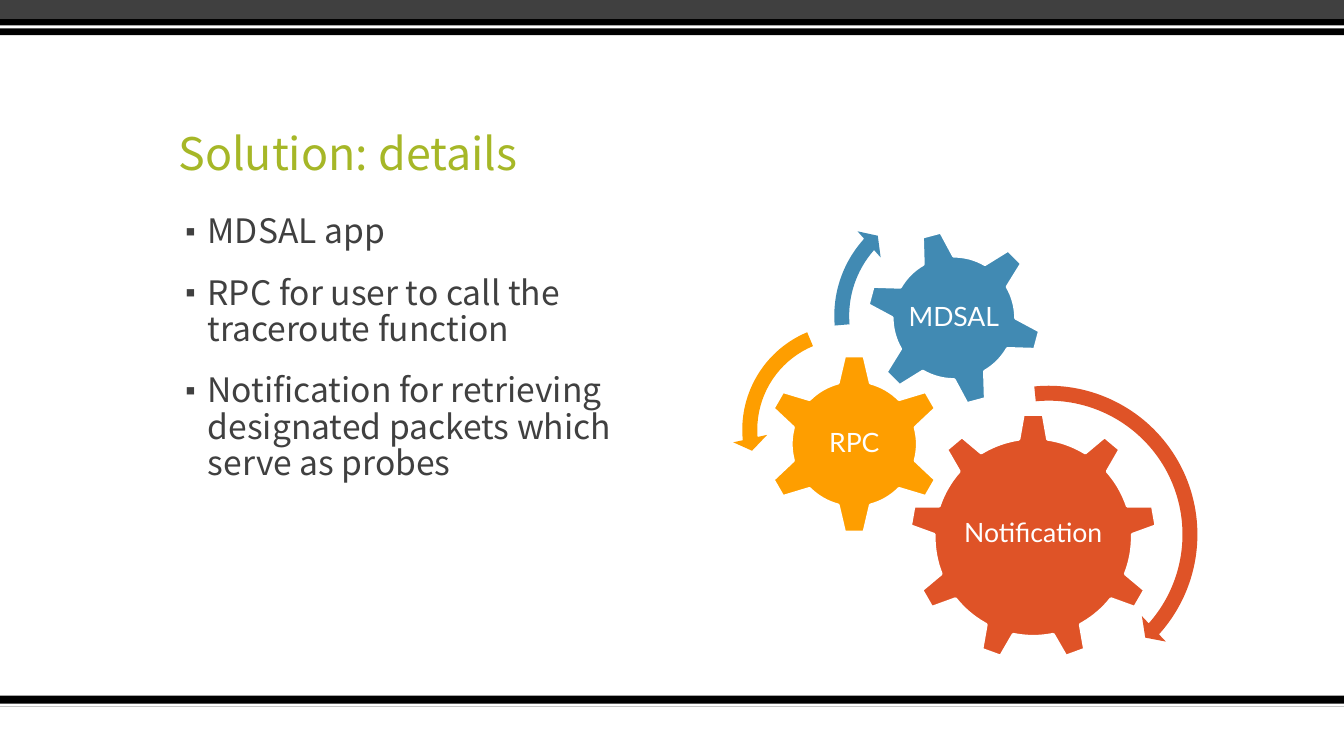
import pptx
import pptx.util
import pptx.dml.color
import pptx.enum.shapes
import pptx.enum.text
import pptx.oxml

Cm, Pt = pptx.util.Cm, pptx.util.Pt
SHAPE = pptx.enum.shapes.MSO_SHAPE
ALIGN = pptx.enum.text.PP_ALIGN
ANCHOR = pptx.enum.text.MSO_ANCHOR

# Content
COLORS = {"white": "FFFFFF", "black": "000000", "gray": "404040", "green": "A6B727",
          "red": "DF5327", "orange": "FE9E00", "blue": "418AB3"}
TITLE = "Solution: details"
BULLETS = ["MDSAL app",
           "RPC for user to call the traceroute function",
           "Notification for retrieving designated packets which serve as probes"]

# Lengths in cm
WIDTH, HEIGHT = 33.87, 19.05
TITLE_BOX = (4.24, 1.7, 25.4, 2.97)
BODY_BOX = (4.22, 5.28, 12.32, 11.35)
BANDS = [  # top, height, color
    (17.53, 0.28, "black"), (17.73, 0.08, "white"),
    (0, 0.48, "gray"), (0.48, 0.41, "black"), (0.64, 0.08, "white")]
GEARS = [  # label, preset, center, size, rotation, label center y, label size, color
    ("Notification", SHAPE.GEAR_9, (26.04, 13.54), 6.25, 0, 13.46, (3.73, 3.2), "red"),
    ("RPC", SHAPE.GEAR_6, (21.53, 11.19), 4.55, 0, 11.19, (2.26, 2.24), "orange"),
    ("MDSAL", SHAPE.GEAR_6, (24.04, 8.01), 4.45, 345, 8.01, (2.49, 2.49), "blue")]
ARROWS = [  # preset, center, size, band %, (head, end, start) degrees, head %, color
    (SHAPE.CIRCULAR_ARROW, (26.43, 13.47), 8, 4.7, (4.98, 41.9, 264.44), 5.5, "red"),
    (SHAPE.LEFT_CIRCULAR_ARROW, (21.37, 10.83), 5.82, 6.5, (7.17, 174.82, 247.3), 7.5, "orange"),
    (SHAPE.CIRCULAR_ARROW, (23.91, 7.96), 6.27, 6, (6.57, 221.9, 175.14), 7, "blue")]


def rgb(color):
    return pptx.dml.color.RGBColor.from_string(COLORS[color])


def centered(center, width, height):
    return center[0] - width / 2, center[1] - height / 2, width, height


def move(shape, box):
    shape.left, shape.top, shape.width, shape.height = map(Cm, box)


def write(text, paragraph, size, color, font="Noto Sans CJK SC", align=ALIGN.LEFT, before=0):
    paragraph.alignment = align
    paragraph.line_spacing = 0.9
    paragraph.space_before = Pt(before)
    run = paragraph.add_run()
    run.text = text
    run.font.name, run.font.size = font, Pt(size)
    run.font.color.rgb = rgb(color)


def add_bullet(paragraph, color):
    properties = paragraph._p.get_or_add_pPr()
    properties.set("marL", str(Cm(0.76)))
    properties.set("indent", str(Cm(-0.76)))
    namespace = 'xmlns:a="http://schemas.openxmlformats.org/drawingml/2006/main"'
    for xml in (f'<a:buClr {namespace}><a:srgbClr val="{COLORS[color]}"/></a:buClr>',
                f'<a:buSzPct {namespace} val="80000"/>',
                f'<a:buFont {namespace} typeface="Noto Sans CJK SC"/>',
                f'<a:buChar {namespace} char="▪"/>'):
        properties.append(pptx.oxml.parse_xml(xml))


def add_shape(preset, box, color, outline=None):
    shape = slide.shapes.add_shape(preset, *map(Cm, box))
    shape.shadow.inherit = False
    shape.fill.solid()
    shape.fill.fore_color.rgb = rgb(color)
    if outline:
        shape.line.color.rgb = rgb(outline)
        shape.line.width = Pt(2.25)
    else:
        shape.line.fill.background()
    return shape


presentation = pptx.Presentation()
presentation.slide_width, presentation.slide_height = Cm(WIDTH), Cm(HEIGHT)
slide = presentation.slides.add_slide(presentation.slide_layouts[1])

# Bands at the top and bottom edges
for top, height, color in BANDS:
    add_shape(SHAPE.RECTANGLE, (0, top, WIDTH, height), color)

# Title and bullets
title, body = slide.placeholders
for placeholder, box, anchor in ((title, TITLE_BOX, ANCHOR.BOTTOM), (body, BODY_BOX, ANCHOR.TOP)):
    move(placeholder, box)
    placeholder.text_frame.auto_size = pptx.enum.text.MSO_AUTO_SIZE.NONE
    placeholder.text_frame.vertical_anchor = anchor
write(TITLE, title.text_frame.paragraphs[0], 32, "green")
for index, text in enumerate(BULLETS):
    frame = body.text_frame
    paragraph = frame.add_paragraph() if index else frame.paragraphs[0]
    write(text, paragraph, 24, "gray", before=18)
    add_bullet(paragraph, "gray")

# Gears, with upright labels
for label, preset, center, size, rotation, label_y, label_size, color in GEARS:
    gear = add_shape(preset, centered(center, size, size), color, outline="white")
    gear.rotation = rotation
    label_box = centered((center[0], label_y), *label_size)
    frame = slide.shapes.add_textbox(*map(Cm, label_box)).text_frame
    frame.word_wrap = True
    frame.vertical_anchor = ANCHOR.MIDDLE
    frame.margin_left = frame.margin_right = frame.margin_top = frame.margin_bottom = Cm(0.07)
    write(label, frame.paragraphs[0], 19, "white", font="Lato", align=ALIGN.CENTER)

# Rotation arrows: angles are stored in 60000ths of a degree, adjustments in 100000ths
for preset, center, size, band, angles, head, color in ARROWS:
    arrow = add_shape(preset, centered(center, size, size), color)
    values = [band / 100, *(angle * 0.6 for angle in angles), head / 100]
    for index, value in enumerate(values):
        arrow.adjustments[index] = value

presentation.save("out.pptx")
